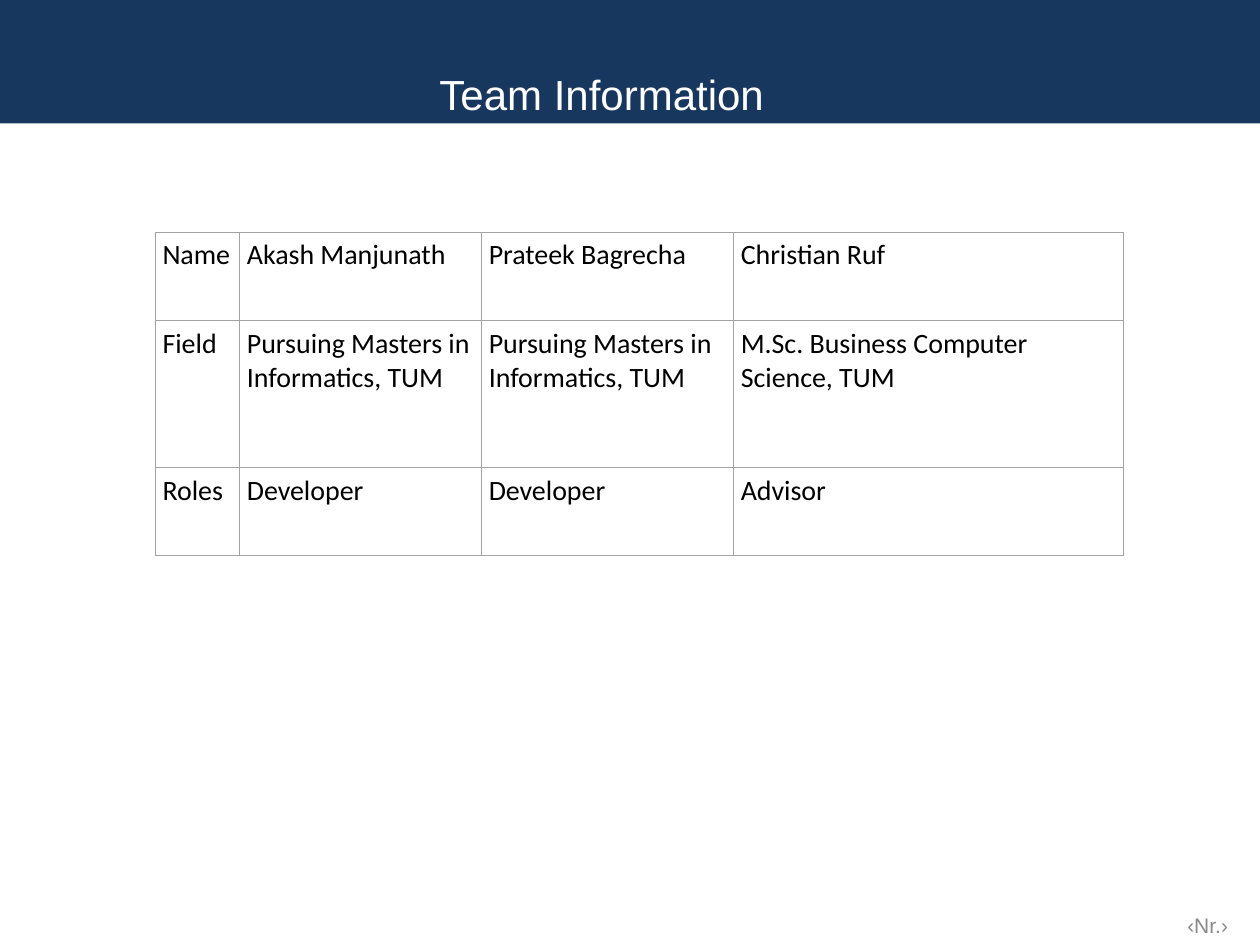
import pptx
import pptx.dml.color
import pptx.enum.shapes
import pptx.enum.text
import pptx.oxml
import pptx.oxml.ns
import pptx.util

Inches = pptx.util.Inches
ALIGN = pptx.enum.text.PP_ALIGN
ANCHOR = pptx.enum.text.MSO_ANCHOR


def color(code):
    return pptx.dml.color.RGBColor.from_string(code)


def write(box, text, size, font, code, align=ALIGN.LEFT, anchor=ANCHOR.TOP, side=0.05):
    """Fill a text box or table cell with one formatted paragraph."""
    box.margin_left = box.margin_right = Inches(side)
    box.margin_top = box.margin_bottom = Inches(0.05)
    box.vertical_anchor = anchor
    frame = getattr(box, "text_frame", box)
    frame.word_wrap = True
    para = frame.paragraphs[0]
    para.alignment = align
    run = para.add_run()
    run.text = text
    run.font.size = pptx.util.Pt(size)
    run.font.name = font
    run.font.color.rgb = color(code)


deck = pptx.Presentation()
deck.slide_width, deck.slide_height = Inches(10), Inches(7.5)
slide = deck.slides.add_slide(deck.slide_layouts[6])
shapes = slide.shapes

# Header band
band = shapes.add_shape(pptx.enum.shapes.MSO_SHAPE.RECTANGLE, 0, 0, Inches(10), Inches(0.98))
band.shadow.inherit = False
band.fill.solid()
band.fill.fore_color.rgb = color("17375E")
band.line.fill.background()

# Title and page number
labels = [
    ("Team Information", 24, "FFFFFF", (2.27, 0.05, 5.01, 0.94)),
    ("‹Nr.›", 12, "888888", (9.17, 7.19, 0.83, 0.3)),
]
for text, size, code, place in labels:
    box = shapes.add_textbox(*map(Inches, place))
    write(box.text_frame, text, size, "Arial", code, align=ALIGN.CENTER, anchor=ANCHOR.BOTTOM)

# Team table
rows = [
    ("Name", "Akash Manjunath", "Prateek Bagrecha", "Christian Ruf"),
    ("Field", "Pursuing Masters in Informatics, TUM", "Pursuing Masters in Informatics, TUM",
     "M.Sc. Business Computer Science, TUM"),
    ("Roles", "Developer", "Developer", "Advisor"),
]
widths = [0.67, 1.92, 2, 3.1]
heights = [0.7, 1.17, 0.7]
team = shapes.add_table(len(rows), len(widths), Inches(1.23), Inches(1.84),
                        Inches(sum(widths)), Inches(sum(heights))).table
team.first_row = team.horz_banding = False
for col, width in zip(team.columns, widths):
    col.width = Inches(width)
for row, height, texts in zip(team.rows, heights, rows):
    row.height = Inches(height)
    for cell, text in zip(row.cells, texts):
        write(cell, text, 16, "Calibri", "000000", side=0.06)
        props = cell._tc.get_or_add_tcPr()
        for edge in ("lnL", "lnR", "lnT", "lnB"):
            props.append(pptx.oxml.parse_xml(
                f'<a:{edge} {pptx.oxml.ns.nsdecls("a")} w="{pptx.util.Pt(0.45)}">'
                f'<a:solidFill><a:srgbClr val="A3A3A3"/></a:solidFill></a:{edge}>'))
        cell.fill.background()

deck.save("out.pptx")
